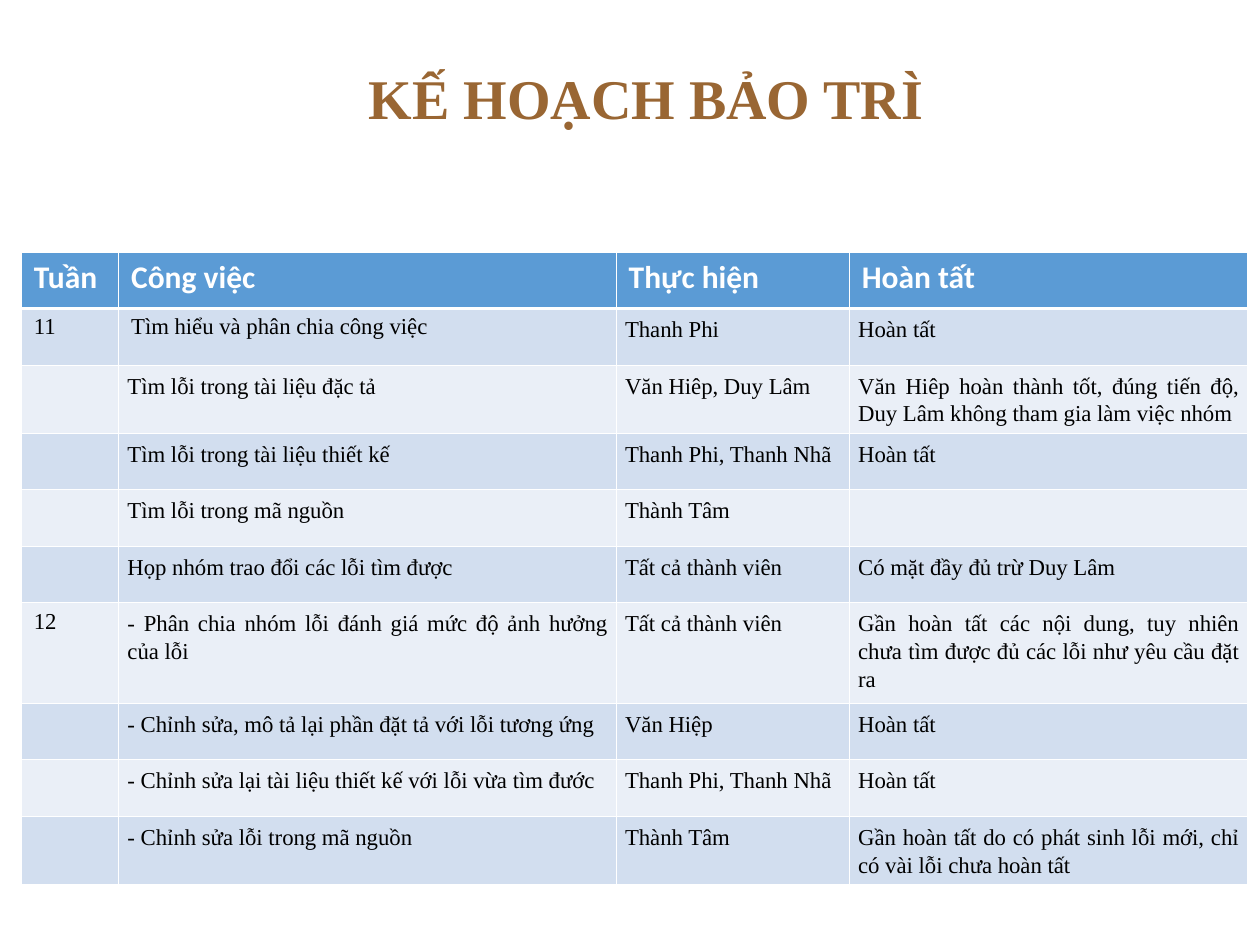
import pptx
import pptx.util
import pptx.dml.color
import pptx.enum.text
import pptx.oxml
import pptx.oxml.ns

Cm = pptx.util.Cm
Pt = pptx.util.Pt
RGBColor = pptx.dml.color.RGBColor
Align = pptx.enum.text.PP_ALIGN
Anchor = pptx.enum.text.MSO_ANCHOR

BROWN = RGBColor(0x99, 0x66, 0x33)
BLUE = RGBColor(0x5B, 0x9B, 0xD5)
BANDS = (RGBColor(0xEA, 0xEF, 0xF7), RGBColor(0xD2, 0xDE, 0xEF))
WHITE = RGBColor(0xFF, 0xFF, 0xFF)
BLACK = RGBColor(0, 0, 0)
SERIF = "Times New Roman"

TITLE = "KẾ HOẠCH BẢO TRÌ"
ROWS = [
    ("Tuần", "Công việc", "Thực hiện", "Hoàn tất"),
    ("11", "Tìm hiểu và phân chia công việc", "Thanh Phi", "Hoàn tất"),
    ("", "Tìm lỗi trong tài liệu đặc tả", "Văn Hiêp, Duy Lâm",
     "Văn Hiêp hoàn thành tốt, đúng tiến độ, Duy Lâm không tham gia làm việc nhóm"),
    ("", "Tìm lỗi trong tài liệu thiết kế", "Thanh Phi, Thanh Nhã", "Hoàn tất"),
    ("", "Tìm lỗi trong mã nguồn", "Thành Tâm", ""),
    ("", "Họp nhóm trao đổi các lỗi tìm được", "Tất cả thành viên",
     "Có mặt đầy đủ trừ Duy Lâm"),
    ("12", "- Phân chia nhóm lỗi đánh giá mức độ ảnh hưởng của lỗi",
     "Tất cả thành viên",
     "Gần hoàn tất các nội dung, tuy nhiên chưa tìm được đủ các lỗi như yêu cầu đặt ra"),
    ("", "- Chỉnh sửa, mô tả lại phần đặt tả với lỗi tương ứng", "Văn Hiệp", "Hoàn tất"),
    ("", "- Chỉnh sửa lại tài liệu thiết kế với lỗi vừa tìm đước",
     "Thanh Phi, Thanh Nhã", "Hoàn tất"),
    ("", "- Chỉnh sửa lỗi trong mã nguồn", "Thành Tâm",
     "Gần hoàn tất do có phát sinh lỗi mới, chỉ có vài lỗi chưa hoàn tất"),
]
WIDTHS = (1.96, 10.03, 4.7, 8.03)
HEIGHT = 1.14
TALL = {2: 1.35, 6: 2.03, 9: 1.35}


def write(frame, text, size=13, font=SERIF, color=BLACK, bold=False,
          align=Align.LEFT, lines=None, after=None):
    para = frame.paragraphs[0]
    para.alignment = align
    if lines:
        para.line_spacing = lines
    if after:
        para.space_after = Pt(after)
    run = para.add_run()
    run.text = text
    run.font.size = Pt(size)
    run.font.name = font
    run.font.bold = bold
    run.font.color.rgb = color


def edge(cell, side, width):
    props = cell._tc.get_or_add_tcPr()
    props.append(pptx.oxml.parse_xml(
        f'<a:ln{side} {pptx.oxml.ns.nsdecls("a")} w="{Pt(width)}">'
        f'<a:solidFill><a:srgbClr val="{WHITE}"/></a:solidFill></a:ln{side}>'))


def dress(cell, row, col, text):
    for side in "LRTB":
        thick = (row, side) in ((0, "B"), (1, "T"))
        edge(cell, side, 1.5 if thick else 0.5)
    cell.fill.solid()
    cell.fill.fore_color.rgb = BANDS[row % 2] if row else BLUE
    if not text:
        return
    frame = cell.text_frame
    if row == 0:
        write(frame, text, size=18, font="Calibri", color=WHITE, bold=True)
    elif col == 0 or (row, col) == (1, 1):
        write(frame, text)
    else:
        cell.margin_left = cell.margin_right = Cm(0.18)
        write(frame, text, align=Align.JUSTIFY, lines=1.11, after=6)


def main():
    deck = pptx.Presentation()
    deck.slide_width, deck.slide_height = Cm(25.4), Cm(19.05)
    slide = deck.slides.add_slide(deck.slide_layouts[5])

    title = slide.shapes.title
    title.left, title.top = Cm(3.6), Cm(0.64)
    title.width, title.height = Cm(18.85), Cm(2.62)
    title.text_frame.vertical_anchor = Anchor.MIDDLE
    write(title.text_frame, TITLE, size=32, color=BROWN, bold=True,
          align=Align.CENTER)

    highs = [TALL.get(row, HEIGHT) for row in range(len(ROWS))]
    table = slide.shapes.add_table(
        len(ROWS), len(WIDTHS), Cm(0.43), Cm(5.08),
        Cm(sum(WIDTHS)), Cm(sum(highs))).table
    for col, width in zip(table.columns, WIDTHS):
        col.width = Cm(width)
    for row, high in zip(table.rows, highs):
        row.height = Cm(high)
    for row, texts in enumerate(ROWS):
        for col, text in enumerate(texts):
            dress(table.cell(row, col), row, col, text)

    deck.save("out.pptx")


if __name__ == "__main__":
    main()
